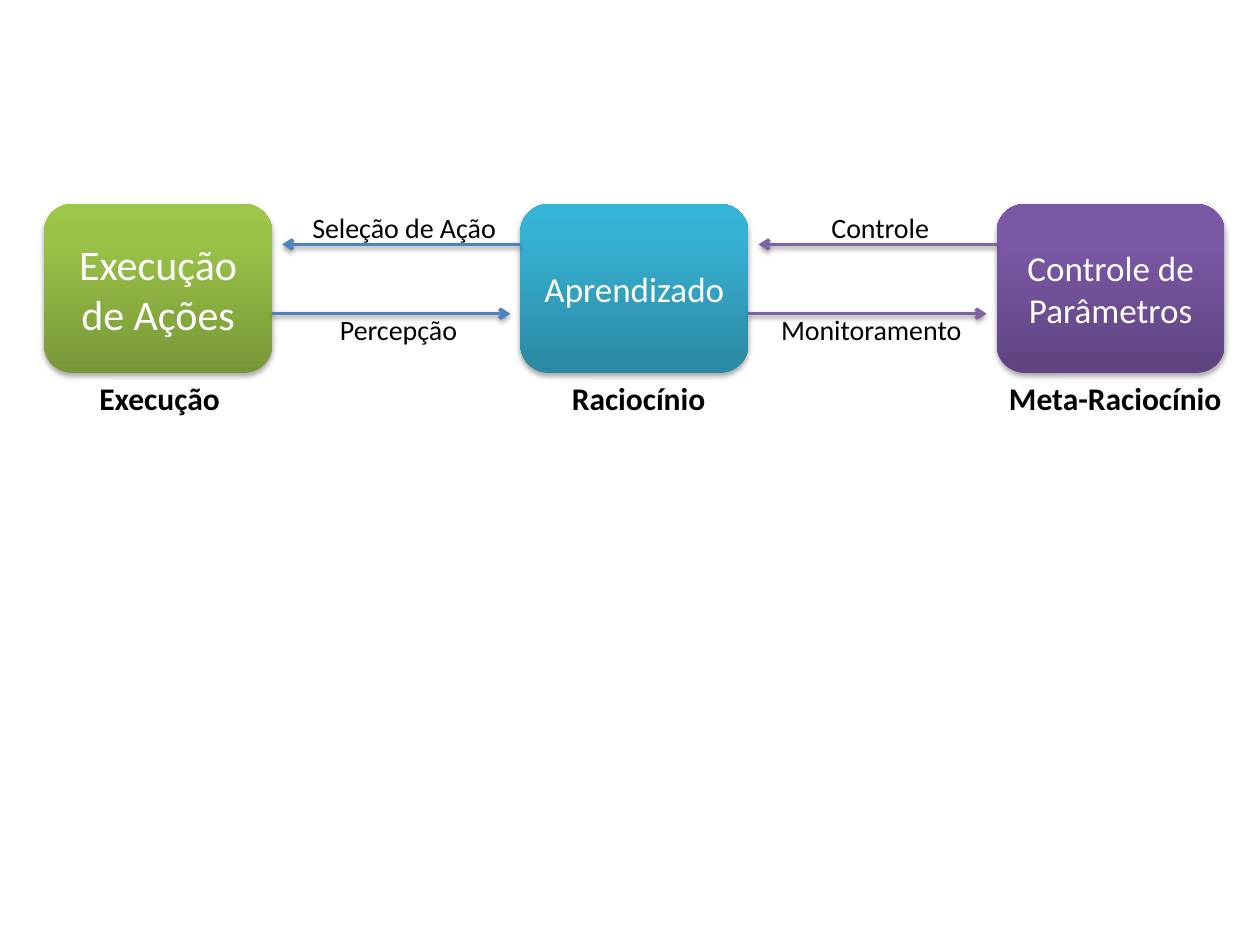
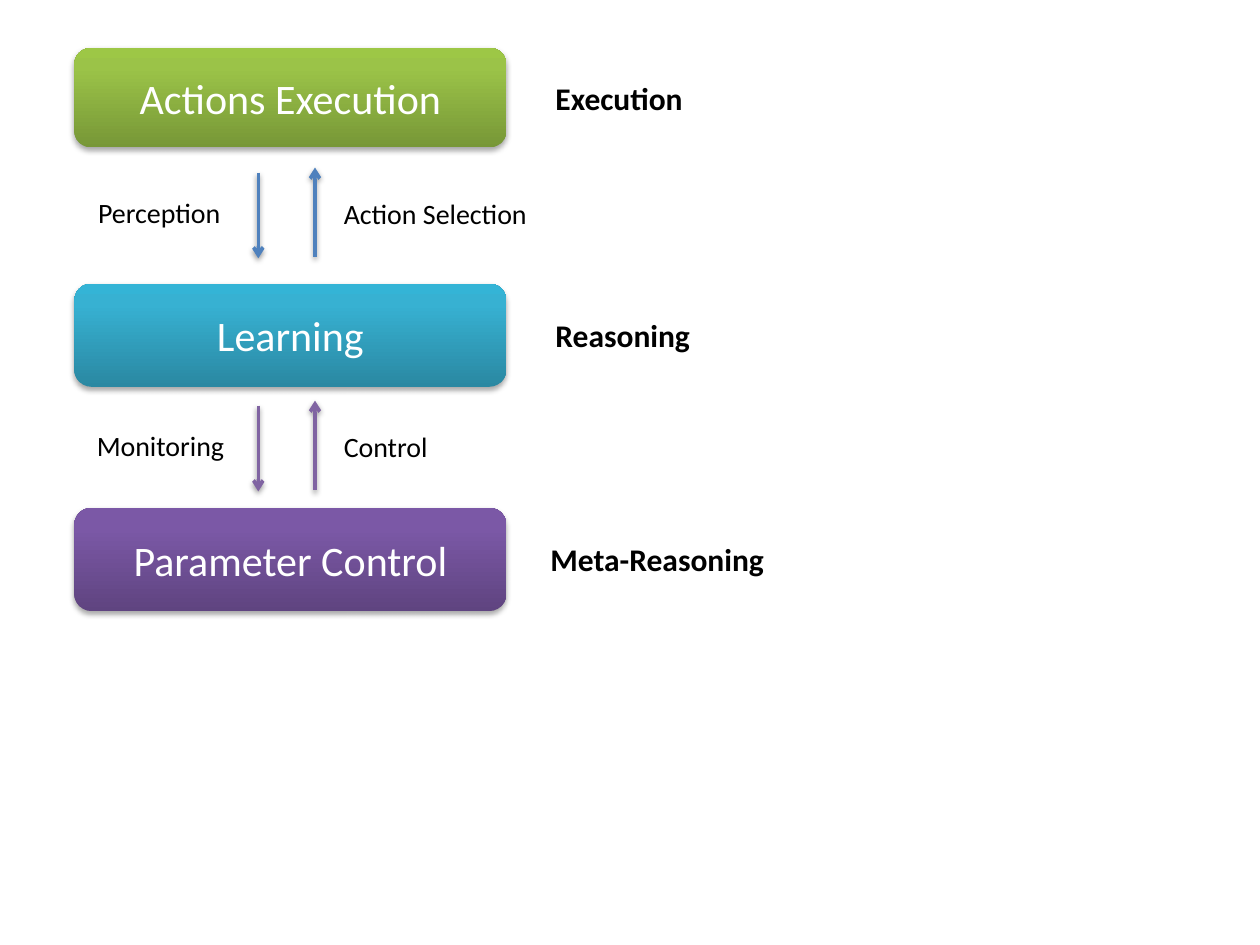
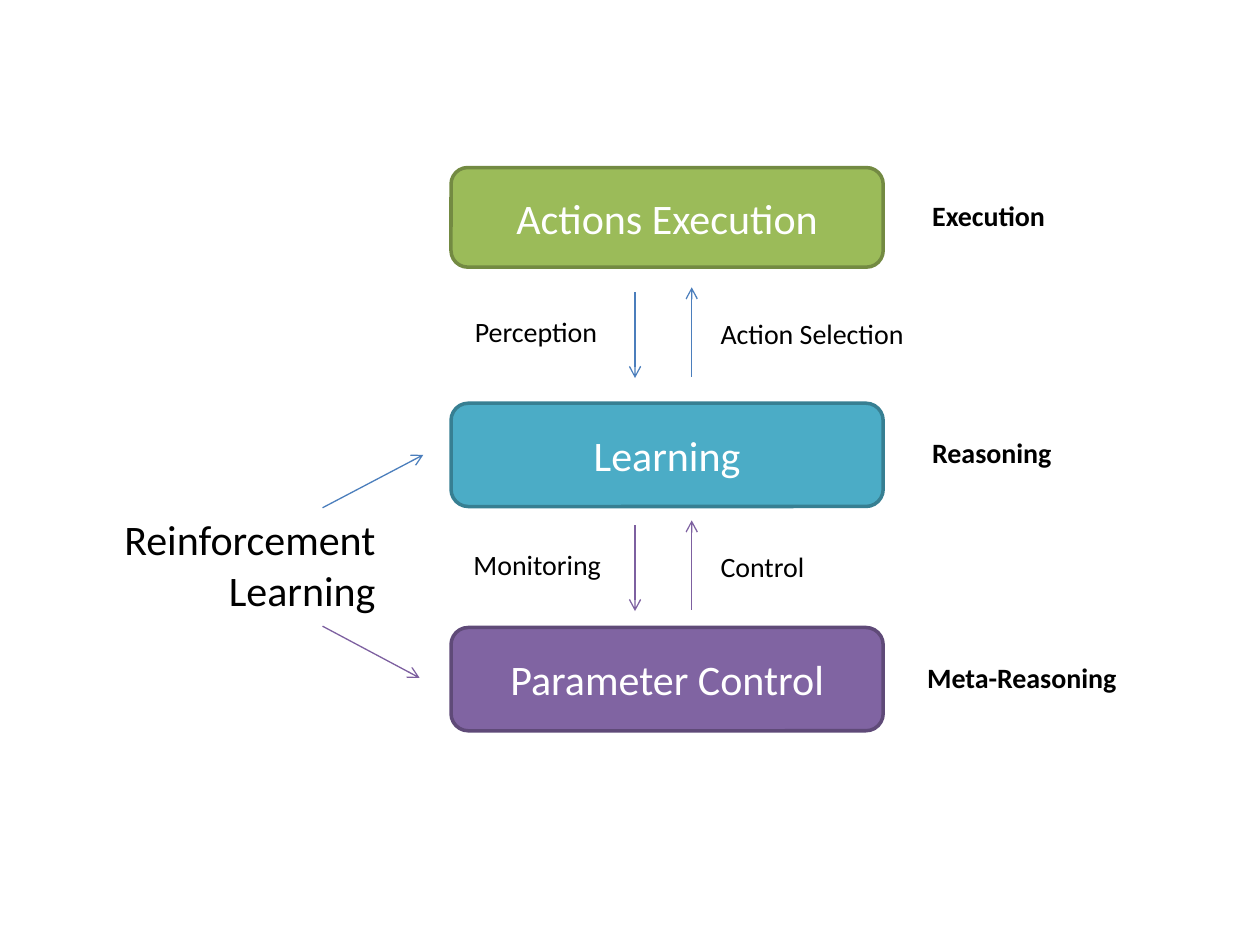
from dataclasses import dataclass
from typing import NamedTuple

from lxml.etree import SubElement
from pptx import Presentation
from pptx.dml.color import RGBColor
from pptx.enum.shapes import MSO_CONNECTOR, MSO_SHAPE
from pptx.enum.text import MSO_ANCHOR, MSO_AUTO_SIZE, PP_ALIGN
from pptx.oxml.ns import qn
from pptx.slide import Slide
from pptx.util import Emu, Inches, Pt

SLIDE_WIDTH = Inches(10)
SLIDE_HEIGHT = Inches(7.5)
COLUMNS = 100
ROWS = 75


class Tone(NamedTuple):
    gradient: tuple[str, str, str]
    flat: str
    edge: str


class Flow(NamedTuple):
    glossy: str
    flat: str


@dataclass(frozen=True)
class Theme:
    font: str = "Calibri"
    ink: str = "000000"
    paper: str = "FFFFFF"
    title: int = 24
    compact: int = 20
    caption: int = 18
    label: int = 16
    execution: Tone = Tone(("779737", "9BC348", "9DC746"), "9BBB59", "738A42")
    reasoning: Tone = Tone(("2A88A2", "37B1D2", "34B4D6"), "4BACC6", "377F92")
    meta: Tone = Tone(("5F4480", "7B58A6", "7C57A8"), "8064A2", "5F4A78")
    action: Flow = Flow("4F81BD", "4B7EBC")
    control: Flow = Flow("8064A2", "7D60A0")
    edge_width: float = 2
    thin_width: float = 0.75


THEME = Theme()


class Box(NamedTuple):
    left: float
    top: float
    width: float
    height: float


class Label(NamedTuple):
    text: str
    left: float
    top: float
    text_width: float


class Stage(NamedTuple):
    title: str
    size: int
    tone: Tone
    caption: Label


class Exchange(NamedTuple):
    flow: Flow
    labels: tuple[Label, Label]


class Level(NamedTuple):
    title: str
    tone: Tone
    top: float
    height: float
    caption: Label


STAGES = (
    Stage("Execução de Ações", THEME.title, THEME.execution, Label("Execução", 6.9, 29.6, 9.6)),
    Stage("Aprendizado", THEME.compact, THEME.reasoning, Label("Raciocínio", 44.4, 29.6, 10.7)),
    Stage("Controle de Parâmetros", THEME.compact, THEME.meta, Label("Meta-Raciocínio", 79.1, 29.6, 17)),
)
STAGE_EXCHANGES = (
    Exchange(THEME.action, (Label("Seleção de Ação", 23.8, 16.2, 14.8), Label("Percepção", 26, 24.3, 9.4))),
    Exchange(THEME.control, (Label("Controle", 65, 16.2, 7.9), Label("Monitoramento", 61, 24.3, 14.5))),
)
LEVELS = (
    Level("Actions Execution", THEME.execution, 0, 7.9, Label("Execution", 37.2, 2, 10.2)),
    Level("Learning", THEME.reasoning, 18.7, 8.2, Label("Reasoning", 37.2, 20.8, 10.8)),
    Level("Parameter Control", THEME.meta, 36.5, 8.2, Label("Meta-Reasoning", 36.8, 38.6, 17.1)),
)
LEVEL_EXCHANGES = (
    Exchange(THEME.action, (Label("Perception", 0.9, 11.2, 9.9), Label("Action Selection", 20.4, 11.3, 14.8))),
    Exchange(THEME.control, (Label("Monitoring", 0.8, 29.7, 10.3), Label("Control", 20.4, 29.8, 6.8))),
)


def col(count: float) -> Emu:
    return Emu(round(SLIDE_WIDTH * count / COLUMNS))


def row(count: float) -> Emu:
    return Emu(round(SLIDE_HEIGHT * count / ROWS))


def add_shadow(effects, opacity: int, distance: float) -> None:
    shadow = SubElement(
        effects, qn("a:outerShdw"), blurRad=str(Pt(3.1)), dist=str(Pt(distance)),
        dir="5400000", rotWithShape="0",
    )
    shade = SubElement(shadow, qn("a:srgbClr"), val=THEME.ink)
    SubElement(shade, qn("a:alpha"), val=str(opacity * 1000))


def draw_node(slide: Slide, box: Box, title: str, size: int, tone: Tone, glossy: bool) -> None:
    node = slide.shapes.add_shape(
        MSO_SHAPE.ROUNDED_RECTANGLE, col(box.left), row(box.top), col(box.width), row(box.height)
    )
    node.shadow.inherit = False
    properties = node.element.spPr
    if glossy:
        node.fill.gradient()
        node.fill.gradient_angle = 90
        stops = properties.find(qn("a:gradFill")).find(qn("a:gsLst"))
        stops.clear()
        for percent, color in zip((0, 80, 100), tone.gradient):
            stop = SubElement(stops, qn("a:gs"), pos=str(percent * 1000))
            SubElement(stop, qn("a:srgbClr"), val=color)
        node.line.fill.background()
        add_shadow(properties.find(qn("a:effectLst")), 35, 1.8)
    else:
        node.fill.solid()
        node.fill.fore_color.rgb = RGBColor.from_string(tone.flat)
        node.line.color.rgb = RGBColor.from_string(tone.edge)
        node.line.width = Pt(THEME.edge_width)
    frame = node.text_frame
    frame.word_wrap = True
    frame.vertical_anchor = MSO_ANCHOR.MIDDLE
    write(frame, title, size, THEME.paper, PP_ALIGN.CENTER)


def write(frame, text: str, size: int, color: str, align: PP_ALIGN, bold: bool = False) -> None:
    frame.text = text
    for paragraph in frame.paragraphs:
        paragraph.alignment = align
        paragraph.font.name = THEME.font
        paragraph.font.size = Pt(size)
        paragraph.font.bold = bold
        paragraph.font.color.rgb = RGBColor.from_string(color)


def draw_label(
    slide: Slide, label: Label, size: int, bold: bool = False,
    align: PP_ALIGN = PP_ALIGN.LEFT, origin: tuple[float, float] = (0, 0),
) -> None:
    lines = label.text.count("\n") + 1
    height = lines * size * 0.17 + 1
    text_box = slide.shapes.add_textbox(
        col(origin[0] + label.left), row(origin[1] + label.top), col(label.text_width + 2), row(height)
    )
    frame = text_box.text_frame
    frame.word_wrap = False
    frame.auto_size = MSO_AUTO_SIZE.SHAPE_TO_FIT_TEXT
    write(frame, label.text, size, THEME.ink, align, bold)


def draw_arrow(
    slide: Slide, start: tuple[float, float], end: tuple[float, float], flow: Flow, glossy: bool
) -> None:
    arrow = slide.shapes.add_connector(
        MSO_CONNECTOR.STRAIGHT, col(start[0]), row(start[1]), col(end[0]), row(end[1])
    )
    arrow.line.color.rgb = RGBColor.from_string(flow.glossy if glossy else flow.flat)
    arrow.line.width = Pt(THEME.edge_width if glossy else THEME.thin_width)
    properties = arrow.element.spPr
    SubElement(properties.find(qn("a:ln")), qn("a:tailEnd"), type="arrow")
    effects = SubElement(properties, qn("a:effectLst"))
    if glossy:
        add_shadow(effects, 38, 1.6)


def draw_chain(slide: Slide) -> None:
    first, pitch, width, reach = 3.5, 37.8, 18.1, 18.9
    for index, stage in enumerate(STAGES):
        box = Box(first + index * pitch, 16.2, width, 13.4)
        draw_node(slide, box, stage.title, stage.size, stage.tone, True)
        draw_label(slide, stage.caption, THEME.caption, True)
    for index, exchange in enumerate(STAGE_EXCHANGES):
        source = first + index * pitch + width
        target = first + (index + 1) * pitch
        draw_arrow(slide, (target, 19.4), (target - reach, 19.4), exchange.flow, True)
        draw_arrow(slide, (source, 24.9), (source + reach, 24.9), exchange.flow, True)
        for label in exchange.labels:
            draw_label(slide, label, THEME.label)


def draw_stack(slide: Slide, left: float, top: float, caption_size: int, glossy: bool) -> None:
    pitch = 18.5
    for level in LEVELS:
        box = Box(left, top + level.top, 34.3, level.height)
        draw_node(slide, box, level.title, THEME.title, level.tone, glossy)
        scaled_width = level.caption.text_width * caption_size / THEME.caption
        caption = level.caption._replace(text_width=scaled_width)
        draw_label(slide, caption, caption_size, True, origin=(left, top))
    for index, exchange in enumerate(LEVEL_EXCHANGES):
        offset = top + index * pitch
        down, up = left + 14.6, left + 19.1
        draw_arrow(slide, (down, offset + 9.9), (down, offset + 16.7), exchange.flow, glossy)
        draw_arrow(slide, (up, offset + 16.6), (up, offset + 9.5), exchange.flow, glossy)
        for label in exchange.labels:
            draw_label(slide, label, THEME.label, origin=(left, top))


def draw_method(slide: Slide) -> None:
    draw_arrow(slide, (25.6, 40.3), (33.6, 36.1), THEME.action, False)
    draw_arrow(slide, (25.6, 49.7), (33.3, 53.8), THEME.control, False)
    method = Label("Reinforcement\nLearning", 8.6, 40.3, 20.2)
    draw_label(slide, method, THEME.title, align=PP_ALIGN.RIGHT)


def main() -> None:
    deck = Presentation()
    deck.slide_width = SLIDE_WIDTH
    deck.slide_height = SLIDE_HEIGHT
    blank = deck.slide_layouts[6]
    chain, stack, learning = (deck.slides.add_slide(blank) for _ in range(3))
    draw_chain(chain)
    draw_stack(stack, 5.9, 3.8, THEME.caption, True)
    draw_stack(learning, 35.8, 13.3, THEME.label, False)
    draw_method(learning)
    deck.save("out.pptx")


if __name__ == "__main__":
    main()
